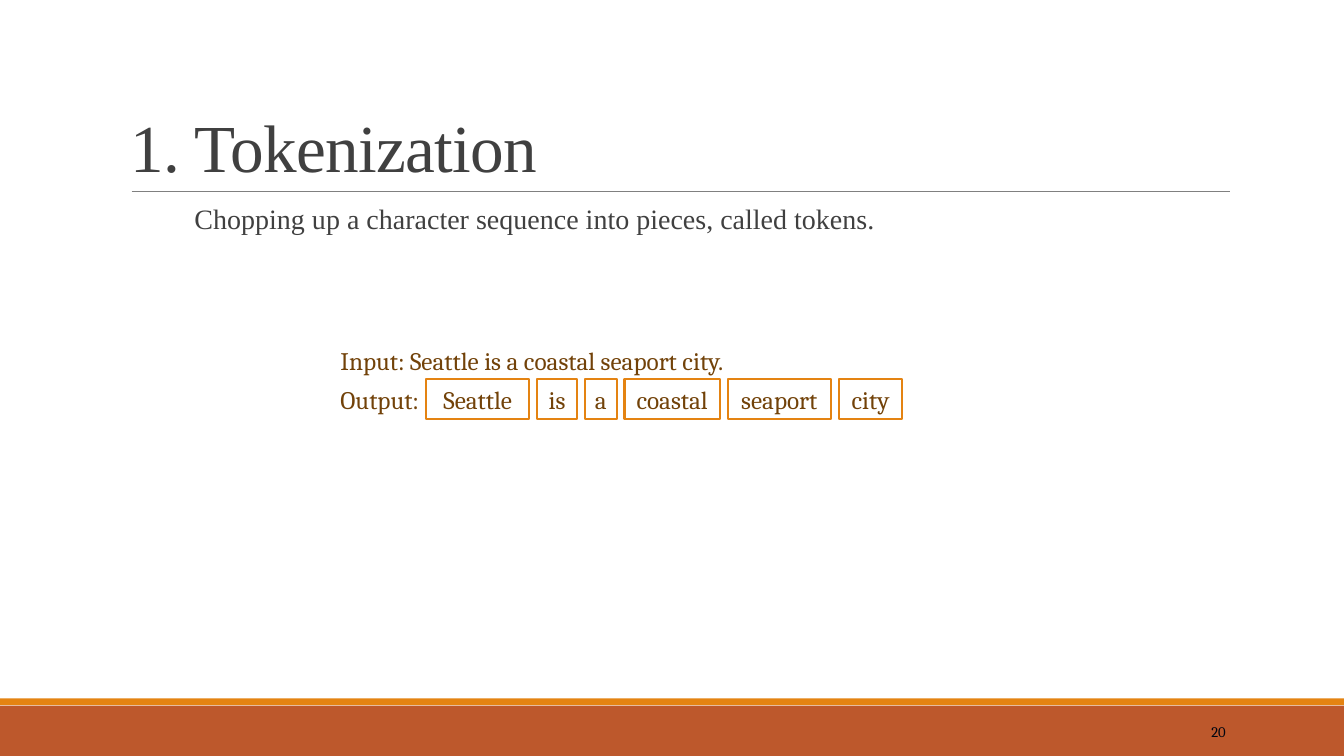
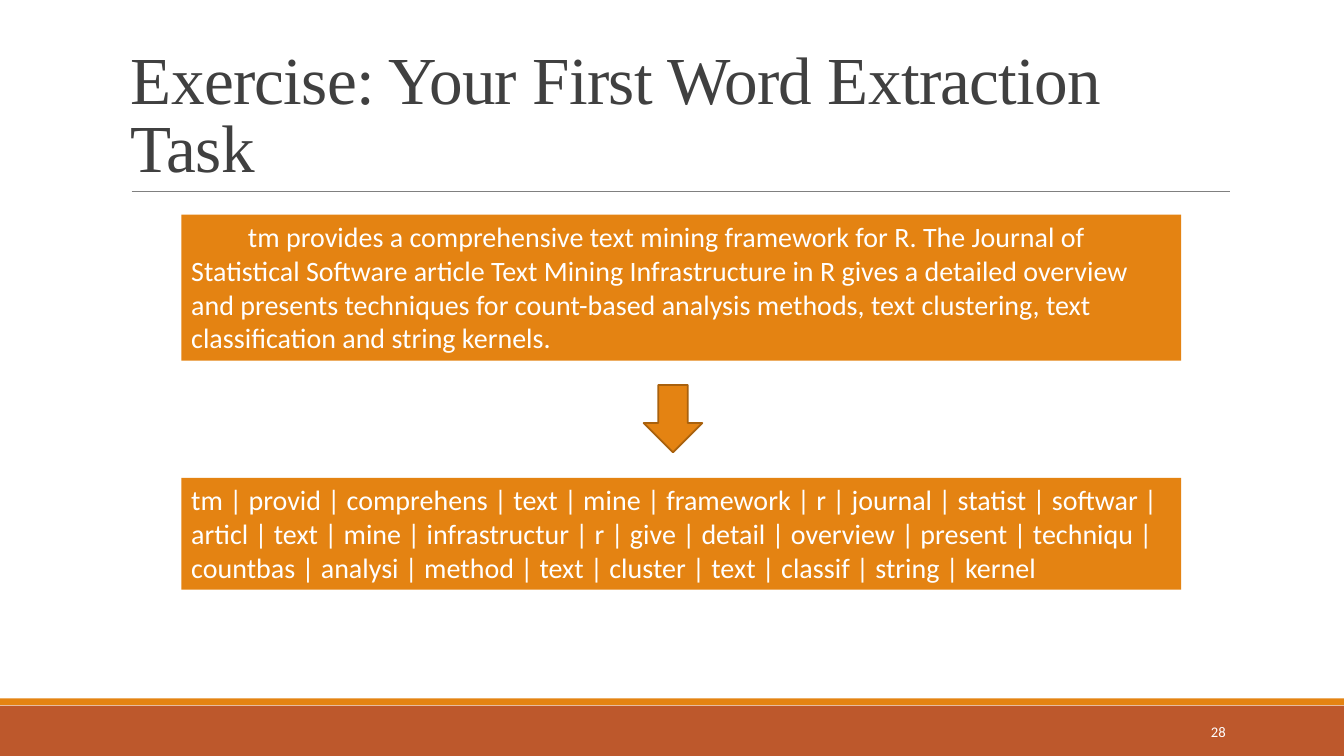
"""Build two slides on tokenization and word extraction."""
import dataclasses

import pptx
import pptx.dml.color
import pptx.enum.shapes
import pptx.enum.text
import pptx.oxml.ns
import pptx.util
from lxml import etree

Cm = pptx.util.Cm
SHAPE = pptx.enum.shapes.MSO_SHAPE
ALIGN = pptx.enum.text.PP_ALIGN
ANCHOR = pptx.enum.text.MSO_ANCHOR


@dataclasses.dataclass(frozen=True)
class Theme:
    orange: str = "E48312"
    rust: str = "BD582C"
    arrow_edge: str = "A9610D"
    brown: str = "724209"
    ink: str = "404040"
    rule: str = "808080"
    dark: str = "000510"
    white: str = "FFFFFF"
    serif: str = "Times New Roman"
    token_font: str = "Cambria"
    sans: str = "Calibri"
    title_size: float = 48
    body_size: float = 20
    token_size: float = 18
    number_size: float = 10.5


THEME = Theme()
WIDTH, HEIGHT = 33.87, 19.05
TOKENIZATION = {
    "title": "1. Tokenization",
    "number": "20",
    "body": "Chopping up a character sequence into pieces, called tokens.",
    "input": "Input: Seattle is a coastal seaport city.",
    "output": "Output:",
    "tokens": [("Seattle", 2.6), ("is", 1), ("a", 0.8),
               ("coastal", 2.4), ("seaport", 2.6), ("city", 1.6)],
}
EXERCISE = {
    "title": "Exercise: Your First Word Extraction Task",
    "number": "28",
    "passage": "tm provides a comprehensive text mining framework for R. "
               "The Journal of Statistical Software article Text Mining "
               "Infrastructure in R gives a detailed overview and presents "
               "techniques for count-based analysis methods, text clustering, "
               "text classification and string kernels.",
    "stems": "tm provid comprehens text mine framework r journal statist "
             "softwar articl text mine infrastructur r give detail overview "
             "present techniqu countbas analysi method text cluster text "
             "classif string kernel".split(),
}


def rgb(value):
    return pptx.dml.color.RGBColor.from_string(value)


def write(shape, text, *, size, font, color, align=ALIGN.LEFT,
          anchor=ANCHOR.TOP, side=0.25, spacing=None, tracking=None, indent=None):
    frame = shape.text_frame
    frame.word_wrap = True
    frame.auto_size = pptx.enum.text.MSO_AUTO_SIZE.NONE
    frame.vertical_anchor = anchor
    frame.margin_left = frame.margin_right = Cm(side)
    frame.margin_top = frame.margin_bottom = Cm(0.13)
    para = frame.paragraphs[0]
    para.alignment = align
    if spacing:
        para.line_spacing = spacing
    if indent:
        para._p.get_or_add_pPr().set("indent", str(Cm(indent)))
    span = para.add_run()
    span.text = text
    span.font.size = pptx.util.Pt(size)
    span.font.name = font
    span.font.color.rgb = rgb(color)
    if tracking:
        span.font._element.set("spc", str(int(tracking * 100)))


def add_box(page, place, text, **style):
    box = page.shapes.add_textbox(*map(Cm, place))
    write(box, text, **style)


def add_block(page, place, kind=SHAPE.RECTANGLE, fill=None, line=None, weight=1.5):
    block = page.shapes.add_shape(kind, *map(Cm, place))
    block.shadow.inherit = False
    if fill:
        block.fill.solid()
        block.fill.fore_color.rgb = rgb(fill)
    else:
        block.fill.background()
    if line:
        block.line.color.rgb = rgb(line)
        block.line.width = pptx.util.Pt(weight)
    else:
        block.line.fill.background()
    return block


def add_page(deck, content, number_font, number_color):
    page = deck.slides.add_slide(deck.slide_layouts[5])
    add_block(page, (0, 17.78, WIDTH, 1.27), fill=THEME.rust)
    add_block(page, (0, 17.6, WIDTH, 0.17), fill=THEME.orange)
    rule = page.shapes.add_connector(
        pptx.enum.shapes.MSO_CONNECTOR.STRAIGHT, *map(Cm, (3.32, 4.82, 31, 4.82)))
    rule.line.color.rgb = rgb(THEME.rule)
    rule.line.width = pptx.util.Pt(0.5)
    etree.SubElement(rule._element.spPr, pptx.oxml.ns.qn("a:effectLst"))
    title = page.shapes.title
    title.left, title.top, title.width, title.height = map(Cm, (3.05, 0.79, 27.94, 4.04))
    write(title, content["title"], size=THEME.title_size, font=THEME.serif,
          color=THEME.ink, anchor=ANCHOR.BOTTOM, spacing=0.85, tracking=-0.5)
    add_box(page, (27.51, 17.93, 3.63, 1.02), content["number"],
            size=THEME.number_size, font=number_font, color=number_color,
            align=ALIGN.RIGHT, anchor=ANCHOR.MIDDLE)
    return page


def build_tokenization(deck):
    content = TOKENIZATION
    page = add_page(deck, content, THEME.token_font, THEME.dark)
    add_box(page, (4.9, 5.05, 22.86, 11.79), content["body"], side=0, spacing=0.9,
            size=THEME.body_size, font=THEME.serif, color=THEME.ink)
    style = dict(size=THEME.token_size, font=THEME.token_font, color=THEME.brown)
    left, top, height, gap = 10.74, 9.55, 1.02, 0.2
    add_box(page, (8.33, 8.56, 16.2, height), content["input"], **style)
    add_box(page, (8.33, top, 2.59, height), content["output"], **style)
    for token, width in content["tokens"]:
        block = add_block(page, (left, top, width, height), line=THEME.orange)
        write(block, token, align=ALIGN.CENTER, side=0, **style)
        left += width + gap


def build_exercise(deck):
    content = EXERCISE
    page = add_page(deck, content, THEME.sans, THEME.white)
    panels = [(5.41, 3.68, content["passage"], 1.43),
              (12.04, 2.82, " | ".join(content["stems"]), None)]
    for top, height, text, indent in panels:
        panel = add_block(page, (4.57, top, 25.2, height), fill=THEME.orange)
        write(panel, text, size=THEME.body_size, font=THEME.sans,
              color=THEME.white, indent=indent)
    add_block(page, (16.22, 9.7, 1.48, 1.7), kind=SHAPE.DOWN_ARROW,
              fill=THEME.orange, line=THEME.arrow_edge, weight=1.25)


def main():
    deck = pptx.Presentation()
    deck.slide_width, deck.slide_height = Cm(WIDTH), Cm(HEIGHT)
    build_tokenization(deck)
    build_exercise(deck)
    deck.save("out.pptx")


if __name__ == "__main__":
    main()
